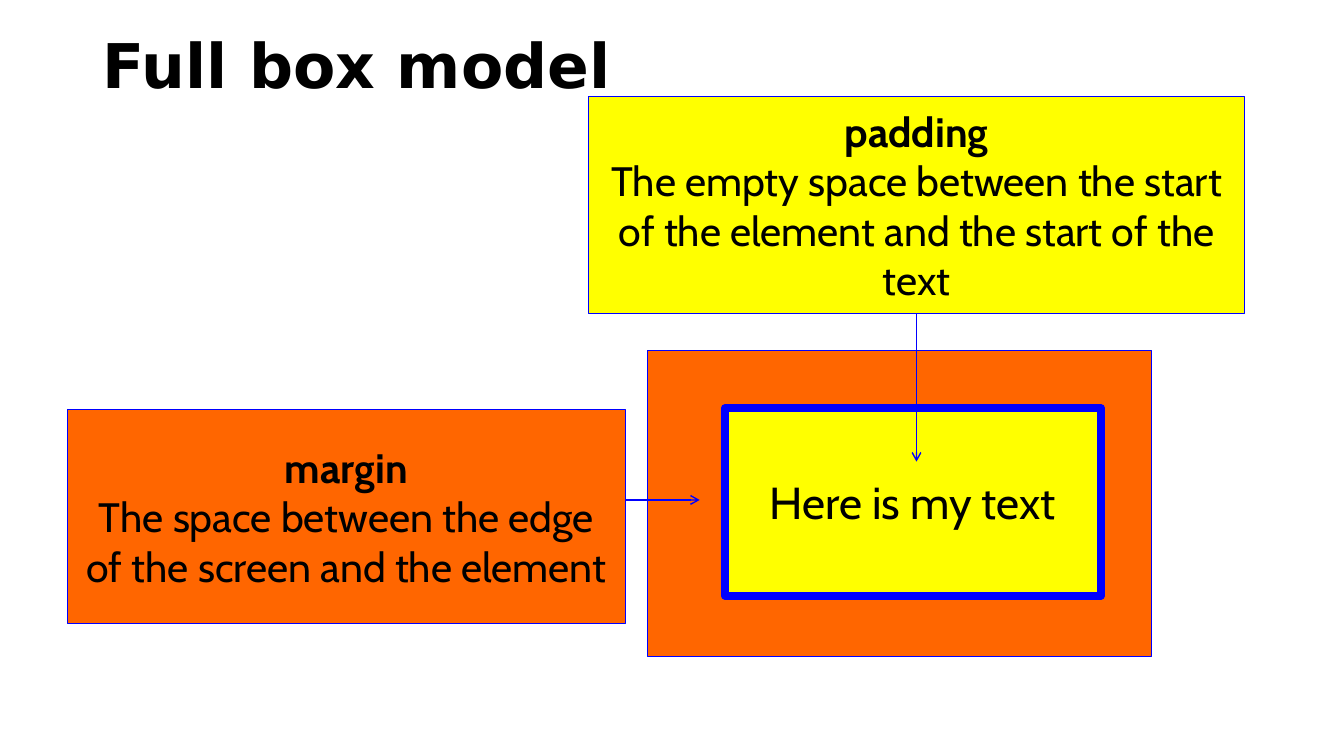
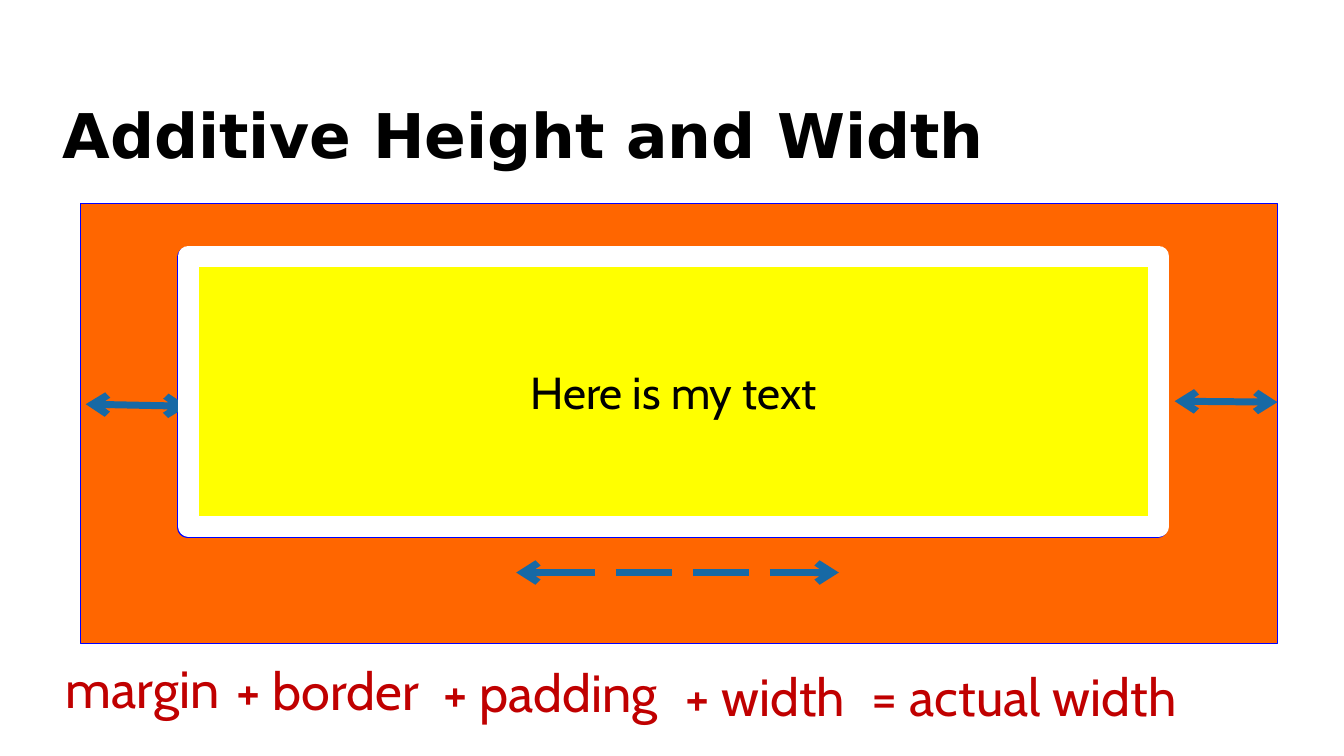
from pptx import Presentation
from pptx.dml.color import RGBColor
from pptx.enum.dml import MSO_LINE
from pptx.enum.shapes import MSO_CONNECTOR, MSO_SHAPE
from pptx.enum.text import MSO_ANCHOR, MSO_AUTO_SIZE, PP_ALIGN
from pptx.oxml.ns import qn
from pptx.util import Pt
from lxml import etree

RECT, LINE = MSO_SHAPE.RECTANGLE, MSO_CONNECTOR.STRAIGHT
LEFT, CENTER, MIDDLE = PP_ALIGN.LEFT, PP_ALIGN.CENTER, MSO_ANCHOR.MIDDLE
NONE, GROW = MSO_AUTO_SIZE.NONE, MSO_AUTO_SIZE.SHAPE_TO_FIT_TEXT
DASH = MSO_LINE.LONG_DASH
SCALE = 9144  # EMU per px, 100 px to the inch

ORANGE, YELLOW, BLUE = "FF6600", "FFFF00", "0000FF"
STEEL, RED, BLACK, WHITE = "1769A5", "C00000", "000000", "FFFFFF"
BODY, HEAD = "Cabin", "DejaVu Sans"
SAMPLE = "Here is my text"

# Content: boxes are (place, fill, line, line width)
MODEL = {
    "title": ("Full box model", (92, 27, 1150, 82)),
    "outer": ((642, 348, 500, 303), ORANGE, BLUE, 0.5),
    "inner": ((719, 405, 373, 186), YELLOW, BLUE, 5.75),
    "margin": ((67, 406, 553, 213), ORANGE, BLUE, 0.5),
    "padding": ((584, 96, 650, 215), YELLOW, BLUE, 0.5),
}
NOTES = {
    "margin": ["margin", "The space between the edge of the screen and the element"],
    "padding": ["padding", "The empty space between the start of the element "
                "and the start of the text"],
}
SUM = {
    "title": ("Additive Height and Width", (52, 86, 1230, 102)),
    "outer": ((80, 202, 1187, 436), ORANGE, BLUE, 0.5),
    "border": ((186, 255, 962, 268), YELLOW, BLUE, 15),
    "inner": ((187, 254, 962, 268), YELLOW, WHITE, 15),
}
SPANS = [(85, 401, 186, 403), (1165, 398, 1267, 399), (512, 568, 832, 568)]
TERMS = [  # text, left, top, width
    ("margin", 52, 646, 179),
    ("+ border", 207, 648, 237),
    ("+ padding", 424, 650, 244),
    ("+ width", 662, 654, 194),
    ("= actual width", 837, 654, 358),
]


def px(*vals):
    return [v * SCALE for v in vals]


def color(code):
    return RGBColor.from_string(code)


def style(para, size, tint=BLACK, face=BODY, bold=False, align=CENTER):
    para.alignment = align
    for run in para.runs:
        font = run.font
        font.name, font.size, font.bold = face, Pt(size), bold
        font.color.rgb = color(tint)


def start(deck, title):
    """Add a slide with the shared title style."""
    slide = deck.slides.add_slide(deck.slide_layouts[5])
    text, place = title
    head = slide.shapes.title
    head.left, head.top, head.width, head.height = px(*place)
    frame = head.text_frame
    frame.text = text
    frame.auto_size, frame.vertical_anchor = NONE, MIDDLE
    frame.paragraphs[0].line_spacing = 0.9
    style(frame.paragraphs[0], 44, face=HEAD, bold=True, align=LEFT)
    return slide


def box(slide, spec, lines=(), size=32, lead=False):
    place, fill, edge, width = spec
    shape = slide.shapes.add_shape(RECT, *px(*place))
    shape.shadow.inherit = False
    shape.fill.solid()
    shape.fill.fore_color.rgb = color(fill)
    shape.line.color.rgb = color(edge)
    shape.line.width = Pt(width)
    if lines:
        frame = shape.text_frame
        frame.text = "\n".join(lines)
        frame.word_wrap, frame.vertical_anchor = True, MIDDLE
        for i, para in enumerate(frame.paragraphs):
            style(para, size, bold=lead and i == 0)
    return shape


def arrow(slide, ends, tint=BLUE, width=1, both=False):
    line = slide.shapes.add_connector(LINE, *px(*ends))
    line.line.color.rgb = color(tint)
    line.line.width = Pt(width)
    if both:
        line.line.dash_style = DASH
    props = line._element.spPr
    for tag in ("a:headEnd", "a:tailEnd") if both else ("a:tailEnd",):
        etree.SubElement(props.find(qn("a:ln")), qn(tag), type="arrow")
    etree.SubElement(props, qn("a:effectLst"))
    return line


def label(slide, text, left, top, width):
    frame = slide.shapes.add_textbox(*px(left, top, width, 73)).text_frame
    frame.text = text
    frame.word_wrap, frame.auto_size = False, GROW
    style(frame.paragraphs[0], 37.3, RED)


def model(deck):
    slide = start(deck, MODEL["title"])
    box(slide, MODEL["outer"])
    box(slide, MODEL["inner"], [SAMPLE])
    arrow(slide, (584, 496, 694, 496))
    notes = {key: box(slide, MODEL[key], lines, 29.3, True)
             for key, lines in NOTES.items()}
    # Arrow from the padding note down into the padding
    drop = arrow(slide, (909, 311, 909, 458))
    drop.begin_connect(notes["padding"], 2)


def total(deck):
    slide = start(deck, SUM["title"])
    box(slide, SUM["outer"])
    box(slide, SUM["border"])
    for ends in SPANS:
        arrow(slide, ends, STEEL, 5, True)
    for term in TERMS:
        label(slide, *term)
    box(slide, SUM["inner"], [SAMPLE])


def main():
    deck = Presentation()
    deck.slide_width, deck.slide_height = px(1333, 750)
    model(deck)
    total(deck)
    deck.save("out.pptx")


if __name__ == "__main__":
    main()
